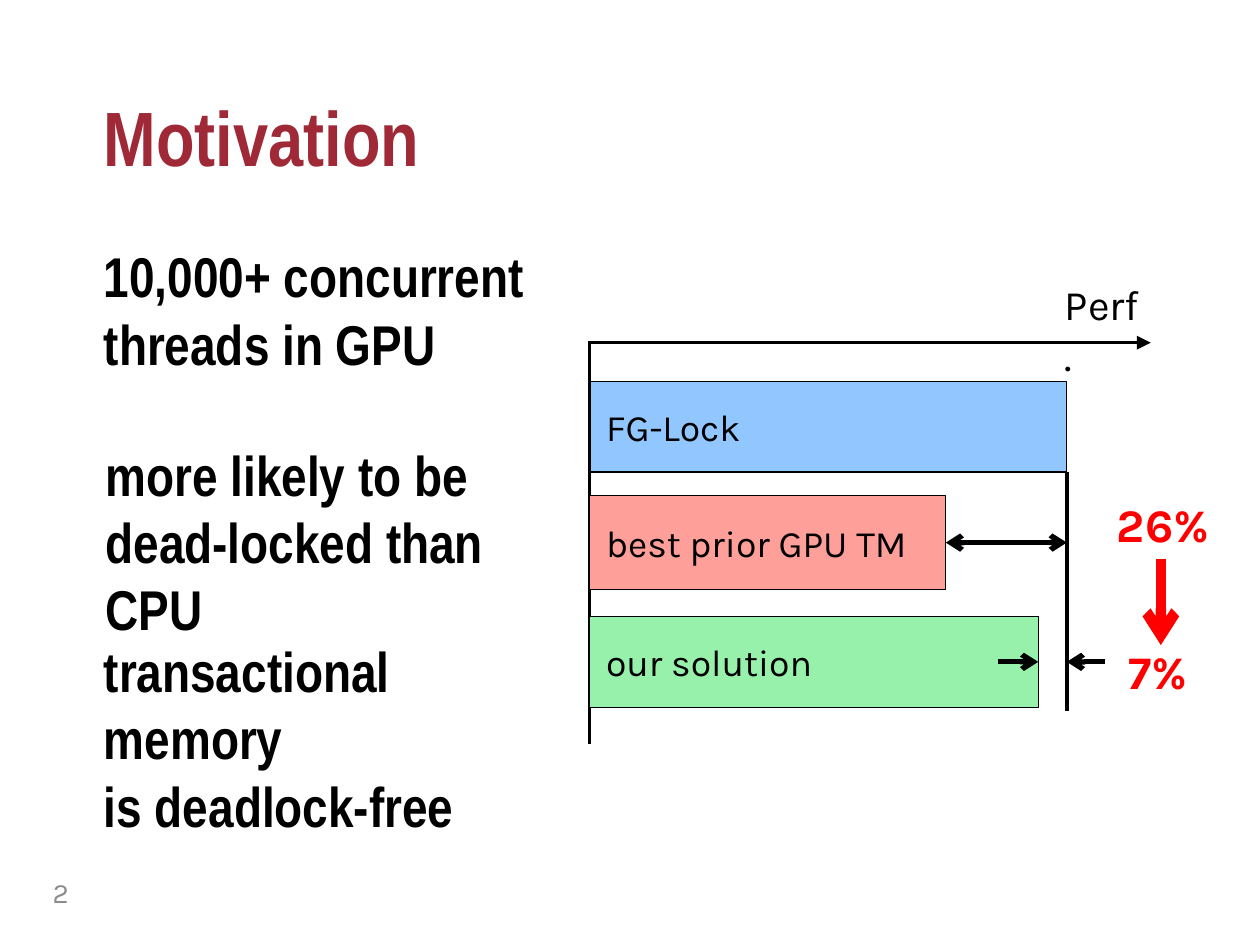
from lxml.etree import SubElement
from pptx import Presentation
from pptx.dml.color import RGBColor
from pptx.enum.shapes import MSO_CONNECTOR, MSO_SHAPE
from pptx.enum.text import MSO_ANCHOR, PP_ALIGN
from pptx.oxml.ns import qn
from pptx.util import Inches, Pt

HEADING_FONT, LABEL_FONT = "Arial Narrow", "Karla"
BLACK, RED, TITLE_RED, GREY = "000000", "FF0000", "9F2936", "8C8C8C"
AXIS_X, FULL_PERF_X = 3.51, 6.35


def color(target, value):
    """Set a hex colour on a font, line or solid fill."""
    if hasattr(target, "solid"):
        target.solid()
        target.fore_color.rgb = RGBColor.from_string(value)
    elif hasattr(target, "fill"):
        color(target.fill, value)
    else:
        target.color.rgb = RGBColor.from_string(value)


def write(frame, lines, size, font, value=BLACK, bold=False,
          align=PP_ALIGN.LEFT, spacing=None):
    """Fill a text frame with one evenly styled paragraph per line."""
    frame.word_wrap = True
    for index, line in enumerate(lines):
        paragraph = frame.add_paragraph() if index else frame.paragraphs[0]
        paragraph.text = line
        paragraph.alignment = align
        paragraph.line_spacing = spacing
        paragraph.font.size = Pt(size)
        paragraph.font.name = font
        paragraph.font.bold = bold
        color(paragraph.font, value)


def add_text(slide, left, top, width, height, lines, size, font,
             anchor=MSO_ANCHOR.TOP, **style):
    """Add a wrapping text box and return its frame."""
    frame = slide.shapes.add_textbox(
        Inches(left), Inches(top), Inches(width), Inches(height)).text_frame
    frame.vertical_anchor = anchor
    write(frame, lines, size, font, **style)
    return frame


def add_bar(slide, top, width, height, label, fill):
    """Add a labelled performance bar that starts at the axis."""
    bar = slide.shapes.add_shape(
        MSO_SHAPE.RECTANGLE, Inches(AXIS_X), Inches(top),
        Inches(width), Inches(height))
    bar.shadow.inherit = False
    color(bar.fill, fill)
    color(bar.line, BLACK)
    bar.line.width = Pt(0.5)
    bar.text_frame.vertical_anchor = MSO_ANCHOR.MIDDLE
    write(bar.text_frame, [label], 16, LABEL_FONT)


def add_line(slide, start, end, width=1.5, value=BLACK, head=None, tail=None):
    """Add a straight line; head and tail are arrow types at start and end."""
    line = slide.shapes.add_connector(
        MSO_CONNECTOR.STRAIGHT, *(Inches(n) for n in (*start, *end)))
    color(line.line, value)
    line.line.width = Pt(width)
    outline = line.line._get_or_add_ln()
    for tag, arrow in (("a:headEnd", head), ("a:tailEnd", tail)):
        if arrow:
            SubElement(outline, qn(tag)).set("type", arrow)
    SubElement(line._element.spPr, qn("a:effectLst"))


def add_statements(slide):
    """Add the title, the three statements and the page number."""
    number = add_text(slide, 0.07, 5.16, 0.41, 0.3, ["2"], 12, LABEL_FONT,
                      MSO_ANCHOR.MIDDLE, value=GREY, align=PP_ALIGN.RIGHT)
    number.margin_left = number.margin_right = Inches(0.07)
    number.margin_top = number.margin_bottom = Inches(0.04)
    add_text(slide, 0.52, 0.3, 6.47, 1.09, ["Motivation"], 33, HEADING_FONT,
             MSO_ANCHOR.MIDDLE, value=TITLE_RED, bold=True, spacing=0.9)
    statements = [
        (0.52, 1.39, 3.54, ["10,000+ concurrent", "threads in GPU"]),
        (0.53, 2.57, 2.91, ["more likely to be", "dead-locked than CPU"]),
        (0.52, 3.74, 2.93, ["transactional memory", "is deadlock-free"]),
    ]
    for left, top, width, lines in statements:
        add_text(slide, left, top, width, 0.91, lines, 24, HEADING_FONT,
                 bold=True)


def add_comparison(slide):
    """Add the performance bars, axes and gap arrows."""
    prior_width, our_width = 2.12, 2.67
    prior_gap_y, our_gap_y = 3.23, 3.94
    add_bar(slide, 2.27, FULL_PERF_X - AXIS_X, 0.54, "FG-Lock", "92C6FF")
    add_line(slide, (AXIS_X, 2.04), (6.85, 2.04), tail="triangle")
    add_line(slide, (AXIS_X, 2.03), (AXIS_X, 4.43))
    add_text(slide, 6.24, 1.61, 0.68, 0.4, ["Perf."], 18, LABEL_FONT)
    add_bar(slide, 2.95, prior_width, 0.56, "best prior GPU TM", "FF9F9A")
    add_bar(slide, 3.67, our_width, 0.54, "our solution", "97F1AA")
    for top, bottom in ((2.81, 3.51), (3.48, 4.23)):
        add_line(slide, (FULL_PERF_X, top), (FULL_PERF_X, bottom))

    add_line(slide, (AXIS_X + prior_width, prior_gap_y),
             (FULL_PERF_X, prior_gap_y), 2.25, head="arrow", tail="arrow")
    for outer_x, edge_x in ((5.94, AXIS_X + our_width), (6.58, FULL_PERF_X)):
        add_line(slide, (outer_x, our_gap_y), (edge_x, our_gap_y), 2.25,
                 tail="arrow")

    for left, top, width, gap in ((6.55, 2.9, 0.87, "26%"),
                                  (6.62, 3.78, 0.63, "7%")):
        add_text(slide, left, top, width, 0.44, [gap], 20, LABEL_FONT,
                 value=RED, bold=True)
    add_line(slide, (6.91, 3.33), (6.91, 3.84), 4.5, RED, tail="arrow")


def main():
    """Build and save the motivation slide."""
    deck = Presentation()
    deck.slide_width = Inches(7.5)
    deck.slide_height = deck.slide_width * 3 // 4
    slide = deck.slides.add_slide(deck.slide_layouts[6])
    add_statements(slide)
    add_comparison(slide)
    deck.save("out.pptx")


main()
